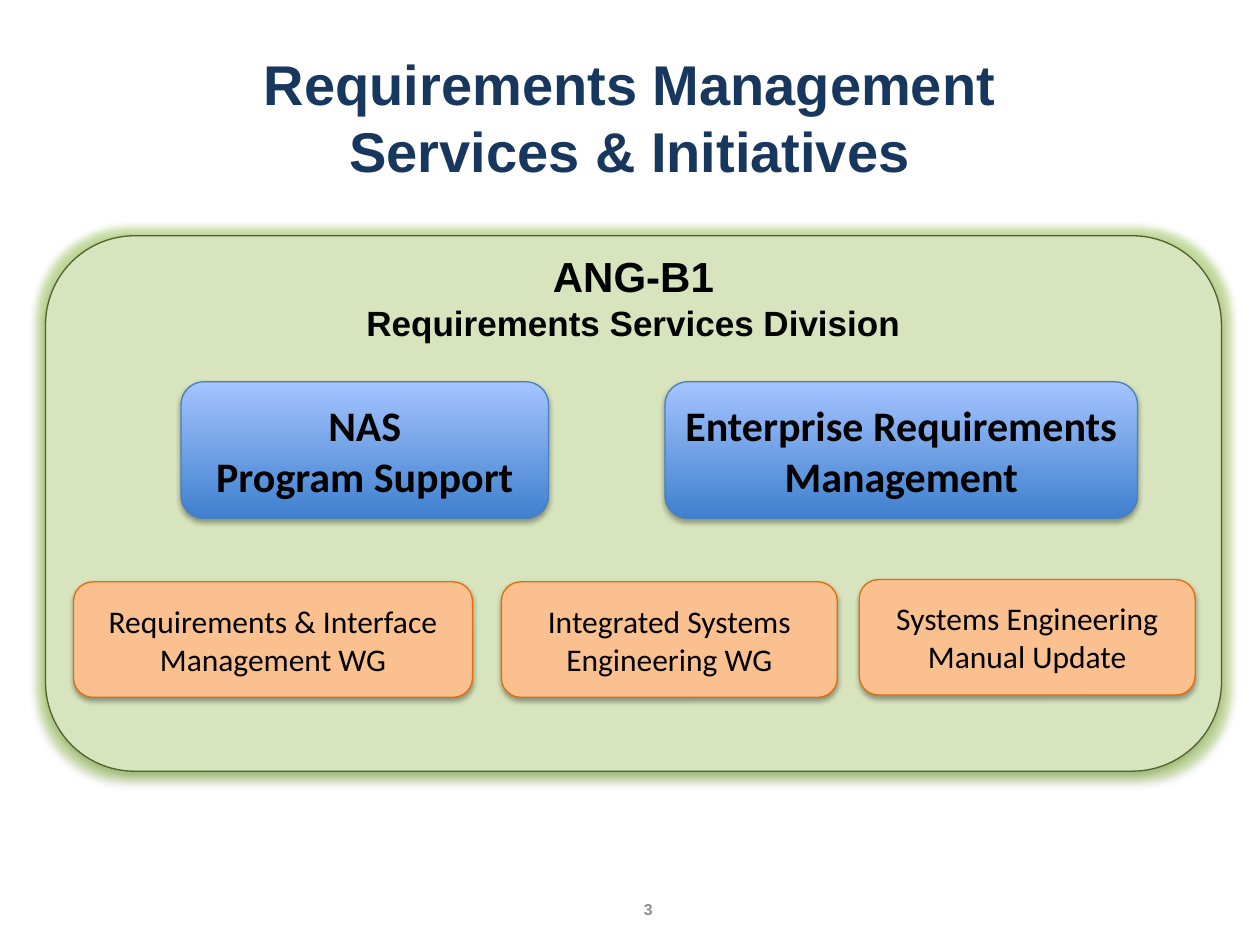
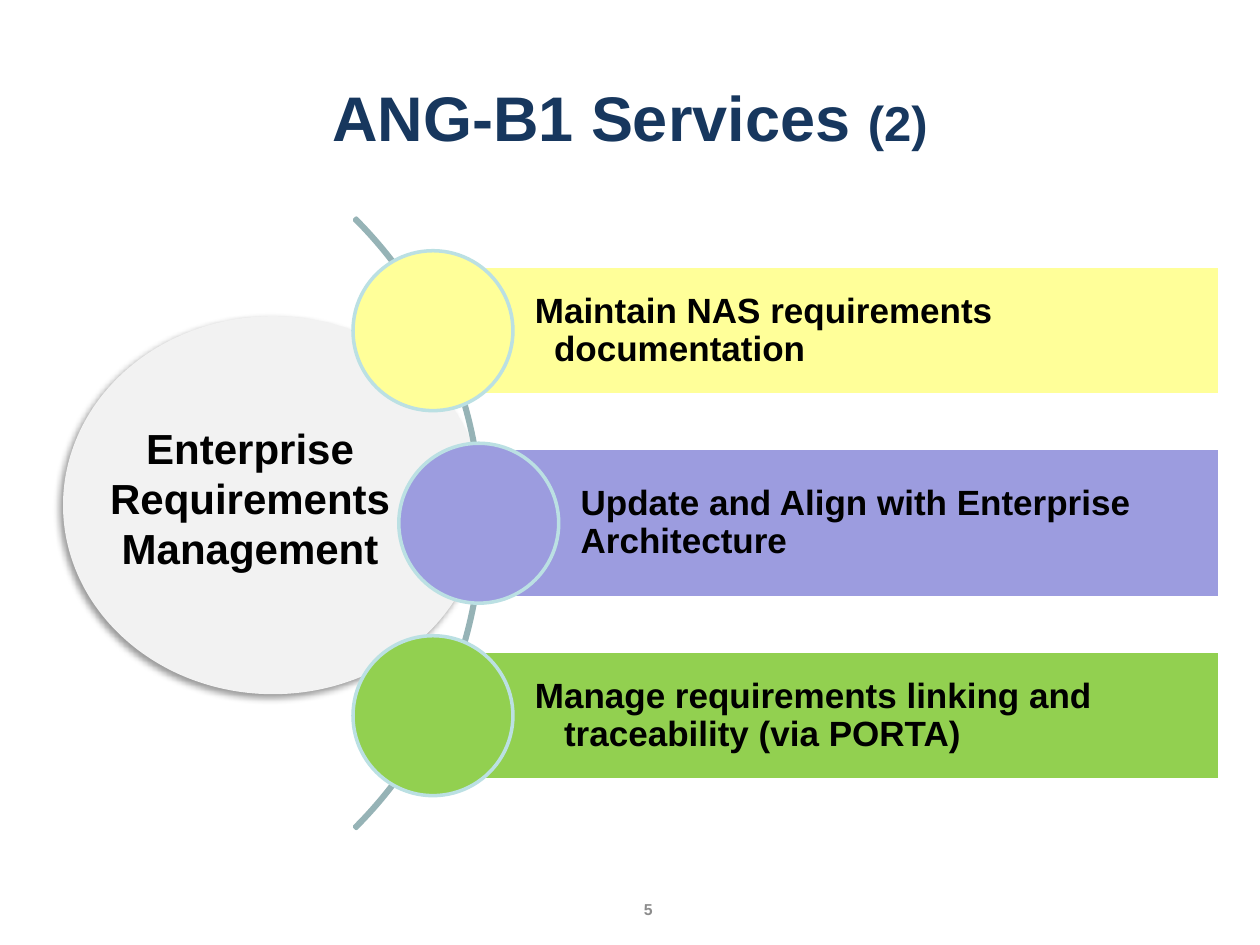
from math import sqrt

from lxml.etree import SubElement
from pptx import Presentation
from pptx.dml.color import RGBColor
from pptx.enum.shapes import MSO_SHAPE as SHAPE
from pptx.enum.text import MSO_ANCHOR as ANCHOR, PP_ALIGN as ALIGN
from pptx.oxml.ns import qn
from pptx.util import Pt

BLACK = RGBColor(0x00, 0x00, 0x00)
WHITE = RGBColor(0xFF, 0xFF, 0xFF)
NAVY = RGBColor(0x17, 0x37, 0x5E)
GREY = RGBColor(0x8C, 0x8C, 0x8C)
PALE_GREY = RGBColor(0xF2, 0xF2, 0xF2)
PALE_GREEN = RGBColor(0xD7, 0xE4, 0xBD)
DARK_GREEN = RGBColor(0x4F, 0x62, 0x28)
GLOW_GREEN = RGBColor(0x9B, 0xD0, 0x40)
BLUE = RGBColor(0x3F, 0x80, 0xCE)
LIGHT_BLUE = RGBColor(0xA4, 0xC4, 0xFF)
BLUE_LINE = RGBColor(0x4B, 0x7E, 0xBC)
PEACH = RGBColor(0xFA, 0xC0, 0x90)
ORANGE = RGBColor(0xE4, 0x6C, 0x0A)
TEAL = RGBColor(0x96, 0xB3, 0xB6)
PALE_TEAL = RGBColor(0xBB, 0xE0, 0xE3)
YELLOW = RGBColor(0xFF, 0xFF, 0x99)
VIOLET = RGBColor(0x9C, 0x9C, 0xDF)
GREEN = RGBColor(0x92, 0xD0, 0x50)

SOFT_SHADOW = (35, 3.1, 1.8, 90)
DEEP_SHADOW = (40, 4, 3, 135)


def add_effect_color(effect, color, alpha):
    """Give an effect element a colour with an opacity in percent."""
    clr = SubElement(effect, qn("a:srgbClr"), val=str(color))
    SubElement(clr, qn("a:alpha"), val=str(alpha * 1000))


def add_effects(sp, shadow, glow=None):
    """Add a shadow (opacity, blur, distance, angle) and perhaps a glow."""
    effects = SubElement(sp._element.spPr, qn("a:effectLst"))
    if glow:
        effect = SubElement(effects, qn("a:glow"), rad=str(Pt(8)))
        add_effect_color(effect, glow, 40)
    alpha, blur, dist, angle = shadow
    effect = SubElement(effects, qn("a:outerShdw"), blurRad=str(Pt(blur)),
                        dist=str(Pt(dist)), dir=str(angle * 60000),
                        rotWithShape="0")
    add_effect_color(effect, BLACK, alpha)


def add_shape(slide, kind, box, fill=None, line=None, width=0.75,
              shadow=None, glow=None):
    """Add a preset shape; a pair of fill colours makes a gradient."""
    sp = slide.shapes.add_shape(kind, *map(Pt, box))
    if isinstance(fill, RGBColor):
        sp.fill.solid()
        sp.fill.fore_color.rgb = fill
    elif fill:
        sp.fill.gradient()
        sp.fill.gradient_angle = 90
        for stop, color in zip(sp.fill.gradient_stops, fill):
            stop.color.rgb = color
    else:
        sp.fill.background()
    if line:
        sp.line.color.rgb = line
        sp.line.width = Pt(width)
    else:
        sp.line.fill.background()
    if shadow:
        add_effects(sp, shadow, glow)
    else:
        sp.shadow.inherit = False
    return sp


def write(sp, runs, font="Arial", color=BLACK, bold=True,
          align=ALIGN.CENTER, anchor=ANCHOR.MIDDLE, wrap=True):
    """Fill one paragraph with (text, size) runs; a newline breaks the line."""
    tf = sp.text_frame
    tf.word_wrap = wrap
    tf.vertical_anchor = anchor
    p = tf.paragraphs[0]
    p.alignment = align
    for text, size in runs:
        for i, part in enumerate(text.split("\n")):
            if i:
                p.add_line_break()
            if not part:
                continue
            r = p.add_run()
            r.text = part
            r.font.name = font
            r.font.size = Pt(size)
            r.font.bold = bold
            r.font.color.rgb = color
    return p


def add_text(slide, box, runs, **style):
    """Add a text box."""
    write(slide.shapes.add_textbox(*map(Pt, box)), runs, **style)


def add_slide(prs, title, number):
    """Add a blank slide with the shared title and page number."""
    slide = prs.slides.add_slide(prs.slide_layouts[6])
    add_text(slide, (36, 21.6, 648, 90), title, color=NAVY)
    add_text(slide, (286.5, 510.5, 168, 18.7), [(number, 9)], color=GREY)
    return slide


def add_card(slide, box, text, size, fill, line, bold):
    """Add a rounded card with centred text."""
    sp = add_shape(slide, SHAPE.ROUNDED_RECTANGLE, box, fill, line,
                   shadow=SOFT_SHADOW)
    write(sp, [(text, size)], font="Calibri", bold=bold)


def add_service(slide, x, y, height, color, text, hang):
    """Add a bar with a circle centred on its left end at (x, y)."""
    right, size = 697, 91.4
    bar = add_shape(slide, SHAPE.RECTANGLE,
                    (x, y - height / 2, right - x, height), color, WHITE, 2)
    p = write(bar, [(text, 20)], align=ALIGN.LEFT)
    p.line_spacing = 0.9
    pPr = p._p.get_or_add_pPr()
    pPr.set("marL", str(Pt(hang)))
    pPr.set("indent", str(-Pt(hang)))
    tf = bar.text_frame
    tf.margin_left = Pt(58.2)
    tf.margin_right = tf.margin_top = tf.margin_bottom = Pt(4.5)
    add_shape(slide, SHAPE.OVAL, (x - size / 2, y - size / 2, size, size),
              color, PALE_TEAL, 2)


def build_overview(prs):
    """Build the division panel with its services and initiatives."""
    slide = add_slide(
        prs, [("Requirements Management\nServices & Initiatives", 32)], "3")
    add_shape(slide, SHAPE.ROUNDED_RECTANGLE, (26, 134.7, 672, 306),
              PALE_GREEN, DARK_GREEN, shadow=SOFT_SHADOW, glow=GLOW_GREEN)
    for x, width, text in [
            (103.5, 210, "NAS\nProgram Support"),
            (380, 270, "Enterprise Requirements Management")]:
        add_card(slide, (x, 218.2, width, 78), text, 24,
                 (BLUE, LIGHT_BLUE), BLUE_LINE, True)
    for x, y, width, text in [
            (42, 332.5, 228, "Requirements & Interface Management WG"),
            (286.5, 332.5, 192, "Integrated Systems Engineering WG"),
            (491, 331.2, 192, "Systems Engineering Manual Update")]:
        add_card(slide, (x, y, width, 66), text, 18, PEACH, ORANGE, False)
    add_text(slide, (185, 139.7, 354, 82),
             [("ANG-B1\n", 24), ("Requirements Services Division", 20)],
             anchor=ANCHOR.TOP)


def build_services(prs):
    """Build the hub with three services placed along an arc."""
    slide = add_slide(prs, [("ANG-B1 Services ", 36), ("(2)", 28)], "5")
    add_shape(slide, SHAPE.OVAL, (36, 180.7, 240, 216), PALE_GREY,
              shadow=DEEP_SHADOW)
    cx, cy, radius, pitch = 29.2, 299, 246.6, 110
    arc = add_shape(slide, SHAPE.BLOCK_ARC,
                    (cx - radius, cy - radius, 2 * radius, 2 * radius),
                    line=TEAL, width=2)
    for i, value in enumerate((189, 27, 0.003)):
        arc.adjustments[i] = value
    services = [
        (73.4, YELLOW, "Maintain NAS requirements\ndocumentation", 11),
        (85.7, VIOLET, "Update and Align with Enterprise Architecture", 0),
        (73.4, GREEN,
         "Manage requirements linking and\ntraceability (via PORTA)", 16.7)]
    for i, service in enumerate(services):
        dy = (i - 1) * pitch
        x = cx + sqrt((radius - 2.2) ** 2 - dy ** 2)
        add_service(slide, x, cy + dy, *service)
    add_text(slide, (54.7, 237.6, 176.4, 94.3),
             [("Enterprise\nRequirements\nManagement", 24)],
             anchor=ANCHOR.TOP, wrap=False)


def main():
    """Build and save the presentation."""
    prs = Presentation()
    prs.slide_width, prs.slide_height = Pt(720), Pt(540)
    build_overview(prs)
    build_services(prs)
    prs.save("out.pptx")


main()
